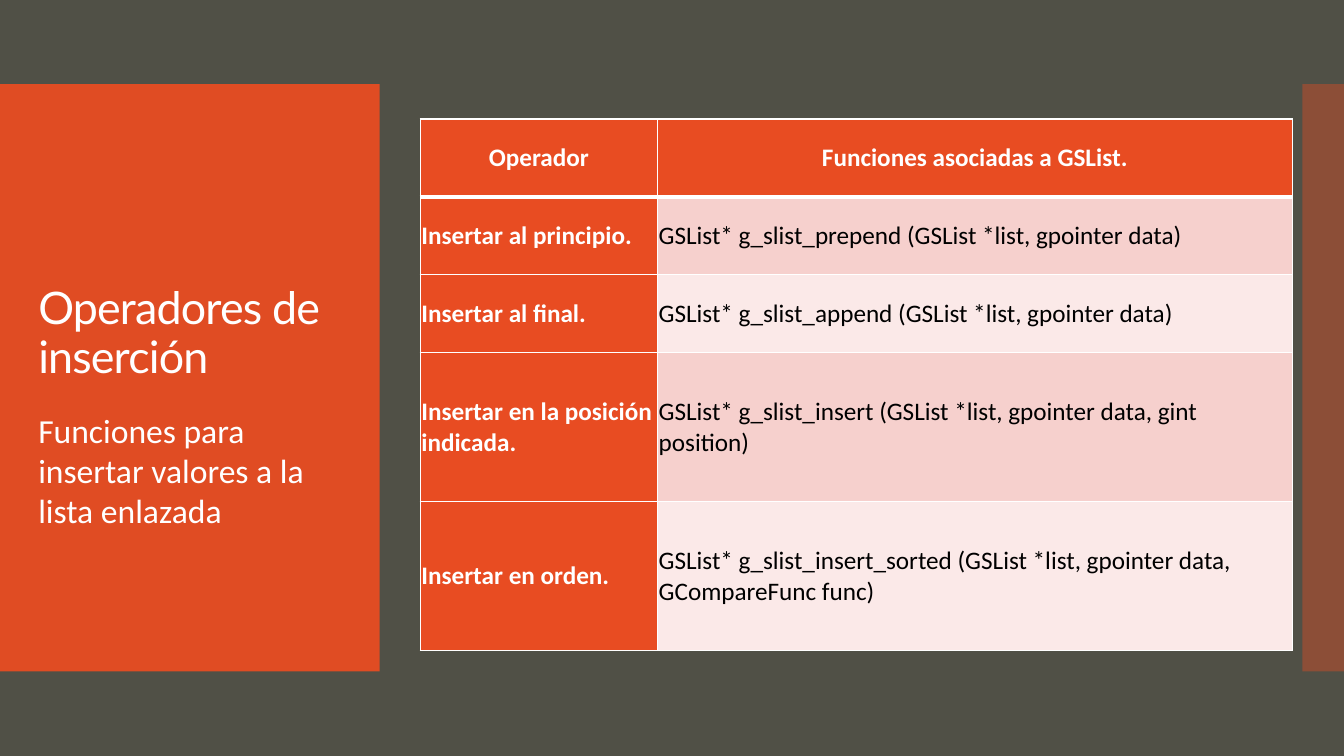
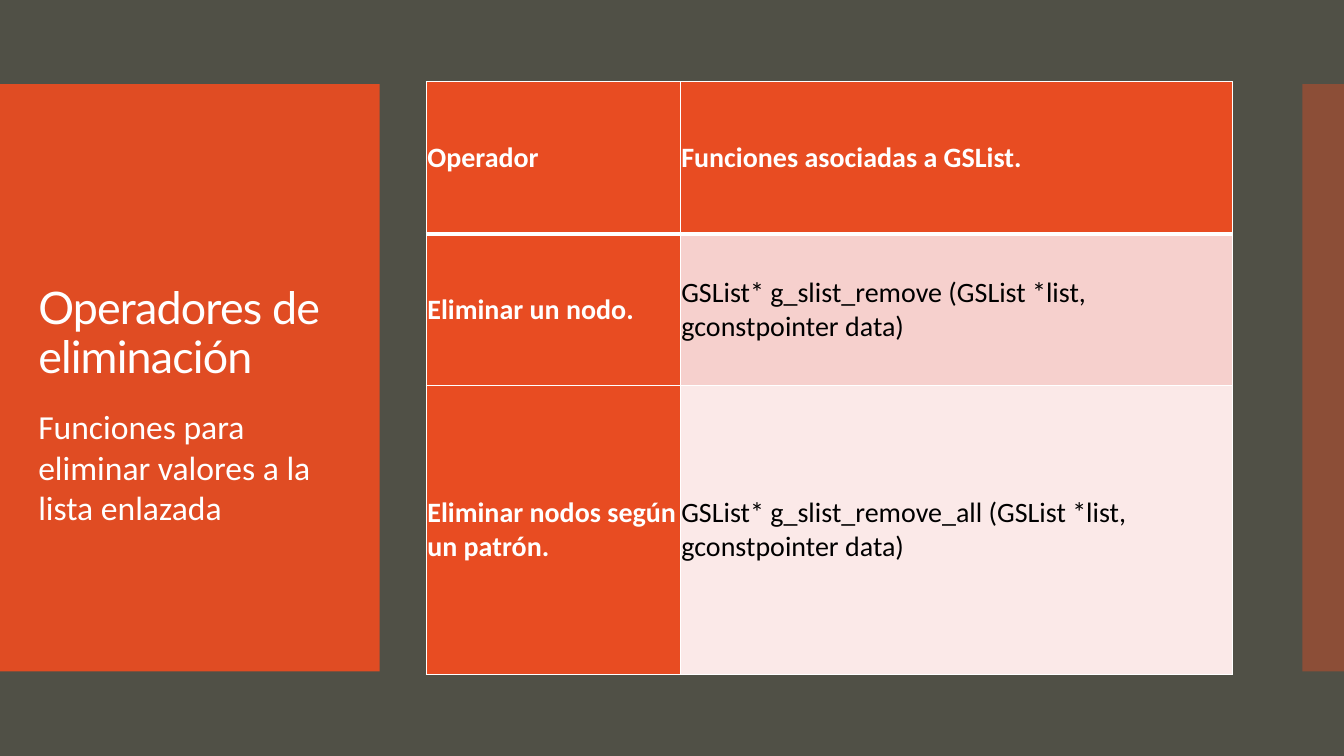
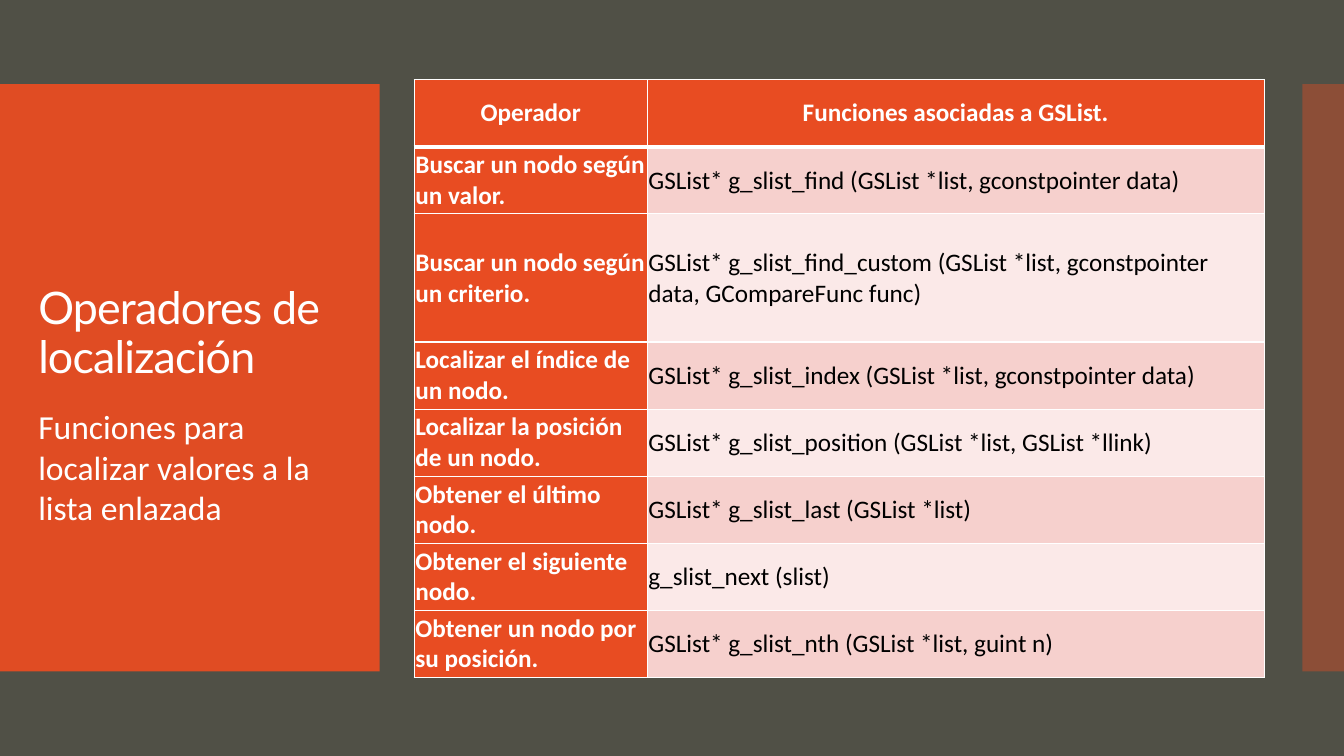
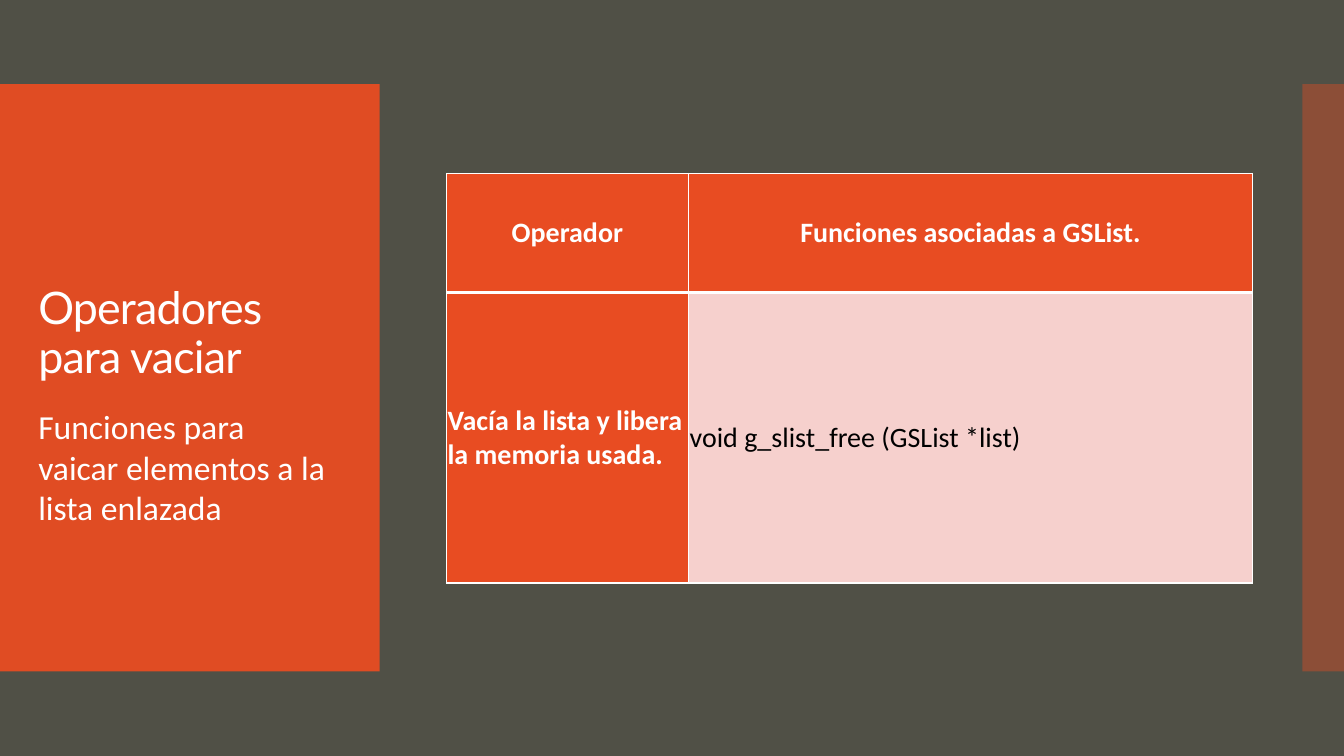
from dataclasses import dataclass

from lxml import etree
from pptx import Presentation
from pptx.dml.color import RGBColor
from pptx.enum.shapes import MSO_SHAPE
from pptx.enum.text import MSO_ANCHOR, MSO_AUTO_SIZE, PP_ALIGN
from pptx.oxml.ns import qn
from pptx.util import Cm, Pt

RECT = MSO_SHAPE.RECTANGLE
TOP, MIDDLE, BOTTOM = MSO_ANCHOR.TOP, MSO_ANCHOR.MIDDLE, MSO_ANCHOR.BOTTOM
LEFT, CENTER = PP_ALIGN.LEFT, PP_ALIGN.CENTER
FIXED = MSO_AUTO_SIZE.NONE

GREY, ORANGE, WHITE, BLACK = "505046", "E84C22", "FFFFFF", "000000"
TINTS = ("F6D0CD", "FBE9E8")
HEAD = ("Operador", "Funciones asociadas a GSList.")
THIN, THICK = 1, 3
INSET, WIDE = 0.03, 0.1

TITLE = {"name": "Lato", "size": Pt(32), "bold": False}
BODY = {"name": "Calibri", "size": Pt(24), "bold": False}


@dataclass
class Band:
    left: float
    width: float
    alpha: int


@dataclass
class Grid:
    left: float
    top: float
    cols: tuple[float, float]
    highs: tuple[float, ...]
    size: int
    align: int
    rows: tuple[tuple[str, str], ...]


@dataclass
class Page:
    title: str
    body: str
    grid: Grid
    body_top: float = 10.11


BANDS = (Band(0, 9.57, 95), Band(32.82, 1.05, 40))
BAND_TOP, BAND_HIGH = 2.12, 14.8
SIDE, SPAN, BODY_END = 0.71, 7.87, 16.15

PAGES = (
    Page(
        "Operadores de inserción",
        "Funciones para insertar valores a la lista enlazada",
        Grid(10.59, 3, (5.98, 16), (1.96,) * 3 + (3.76,) * 2, 18, CENTER, (
            ("Insertar al principio.", "GSList* g_slist_prepend (GSList *list, gpointer data)"),
            ("Insertar al final.", "GSList* g_slist_append (GSList *list, gpointer data)"),
            ("Insertar en la posición indicada.",
             "GSList* g_slist_insert (GSList *list, gpointer data, gint position)"),
            ("Insertar en orden.",
             "GSList* g_slist_insert_sorted (GSList *list, gpointer data, GCompareFunc func)"),
        )),
        10.19,
    ),
    Page(
        "Operadores de eliminación",
        "Funciones para eliminar valores a la lista enlazada",
        Grid(10.74, 2.06, (6.4, 13.92), (3.83, 3.83, 7.28), 20, LEFT, (
            ("Eliminar un nodo.", "GSList* g_slist_remove (GSList *list, gconstpointer data)"),
            ("Eliminar nodos según un patrón.",
             "GSList* g_slist_remove_all (GSList *list, gconstpointer data)"),
        )),
    ),
    Page(
        "Operadores de localización",
        "Funciones para localizar valores a la lista enlazada",
        Grid(10.44, 2.01, (5.87, 15.55), (1.69,) * 2 + (3.23,) + (1.69,) * 5, 18, CENTER, (
            ("Buscar un nodo según un valor.",
             "GSList* g_slist_find (GSList *list, gconstpointer data)"),
            ("Buscar un nodo según un criterio.",
             "GSList* g_slist_find_custom (GSList *list, gconstpointer data, GCompareFunc func)"),
            ("Localizar el índice de un nodo.",
             "GSList* g_slist_index (GSList *list, gconstpointer data)"),
            ("Localizar la posición de un nodo.",
             "GSList* g_slist_position (GSList *list, GSList *llink)"),
            ("Obtener el último nodo.", "GSList* g_slist_last (GSList *list)"),
            ("Obtener el siguiente nodo.", "g_slist_next (slist)"),
            ("Obtener un nodo por su posición.", "GSList* g_slist_nth (GSList *list, guint n)"),
        )),
    ),
    Page(
        "Operadores para vaciar",
        "Funciones para vaicar elementos a la lista enlazada",
        Grid(11.25, 4.37, (6.1, 14.22), (3, 7.32), 20, CENTER, (
            ("Vacía la lista y libera la memoria usada.", "void g_slist_free (GSList *list)"),
        )),
    ),
)


def paint(fill, color: str) -> None:
    fill.solid()
    fill.fore_color.rgb = RGBColor.from_string(color)


def style(item, values: dict) -> None:
    for name, value in values.items():
        setattr(item, name, value)


def place(shape, left: float, top: float, width: float, height: float) -> None:
    style(shape, {"left": Cm(left), "top": Cm(top), "width": Cm(width), "height": Cm(height)})


def write(frame, text: str, font: dict, color: str, para: dict):
    """Put one formatted paragraph in the frame and return it."""
    line = frame.paragraphs[0]
    run = line.add_run()
    run.text = text
    style(line, para)
    style(run.font, font)
    paint(run.font.fill, color)
    return line


def add_bands(slide, layout) -> None:
    """Draw the side bands and move them behind everything on the layout."""
    for band in BANDS:
        shape = slide.shapes.add_shape(
            RECT, Cm(band.left), Cm(BAND_TOP), Cm(band.width), Cm(BAND_HIGH))
        shape.shadow.inherit = False
        shape.line.fill.background()
        paint(shape.fill, ORANGE)
        tone = shape._element.spPr.find(".//" + qn("a:srgbClr"))
        etree.SubElement(tone, qn("a:alpha"), val=str(band.alpha * 1000))
        layout.shapes._spTree.insert(2, shape._element)


def add_edges(cell, top: int, bottom: int) -> None:
    props = cell._tc.get_or_add_tcPr()
    for side, width in zip("LRTB", (THIN, THIN, top, bottom)):
        edge = etree.SubElement(props, qn("a:ln" + side), w=str(Pt(width)))
        solid = etree.SubElement(edge, qn("a:solidFill"))
        etree.SubElement(solid, qn("a:srgbClr"), val=WHITE)


def fill_cell(cell, text: str, row: int, col: int, grid: Grid) -> None:
    label = row == 0 or col == 0
    add_edges(cell, THICK if row == 1 else THIN, THICK if row == 0 else THIN)
    paint(cell.fill, ORANGE if label else TINTS[(row - 1) % 2])
    style(cell, {
        "vertical_anchor": MIDDLE,
        "margin_left": Cm(INSET), "margin_right": Cm(INSET if label else WIDE),
        "margin_top": Cm(INSET), "margin_bottom": Cm(INSET),
    })
    font = {"name": "Calibri", "size": Pt(grid.size), "bold": label}
    align = grid.align if row == 0 else LEFT
    write(cell.text_frame, text, font, WHITE if label else BLACK, {"alignment": align})


def add_grid(slide, grid: Grid) -> None:
    rows = (HEAD,) + grid.rows
    table = slide.shapes.add_table(
        len(rows), len(HEAD), Cm(grid.left), Cm(grid.top),
        Cm(sum(grid.cols)), Cm(sum(grid.highs))).table
    for col, width in zip(table.columns, grid.cols):
        col.width = Cm(width)
    for row, high in zip(table.rows, grid.highs):
        row.height = Cm(high)
    for r, texts in enumerate(rows):
        for c, text in enumerate(texts):
            fill_cell(table.cell(r, c), text, r, c, grid)


def add_text(slide, page: Page) -> None:
    title, body = slide.placeholders
    place(title, SIDE, 3.18, SPAN, 6.6)
    place(body, SIDE, page.body_top, SPAN, BODY_END - page.body_top)
    for shape, anchor in ((title, BOTTOM), (body, TOP)):
        style(shape.text_frame,
              {"word_wrap": True, "auto_size": FIXED, "vertical_anchor": anchor})
    line = write(title.text_frame, page.title, TITLE, WHITE,
                 {"alignment": LEFT, "line_spacing": 0.9})
    line.runs[0].font._element.set("spc", "-60")
    line = write(body.text_frame, page.body, BODY, WHITE,
                 {"alignment": LEFT, "space_before": Pt(12)})
    props = line._p.get_or_add_pPr()
    props.set("marL", "0")
    props.set("indent", "0")
    etree.SubElement(props, qn("a:buNone"))


def main() -> None:
    deck = Presentation()
    style(deck, {"slide_width": Cm(33.87), "slide_height": Cm(19.05)})
    paint(deck.slide_master.background.fill, GREY)
    layout = deck.slide_layouts[1]
    for i, page in enumerate(PAGES):
        slide = deck.slides.add_slide(layout)
        if i == 0:
            add_bands(slide, layout)
        add_text(slide, page)
        add_grid(slide, page.grid)
    deck.save("out.pptx")


if __name__ == "__main__":
    main()
